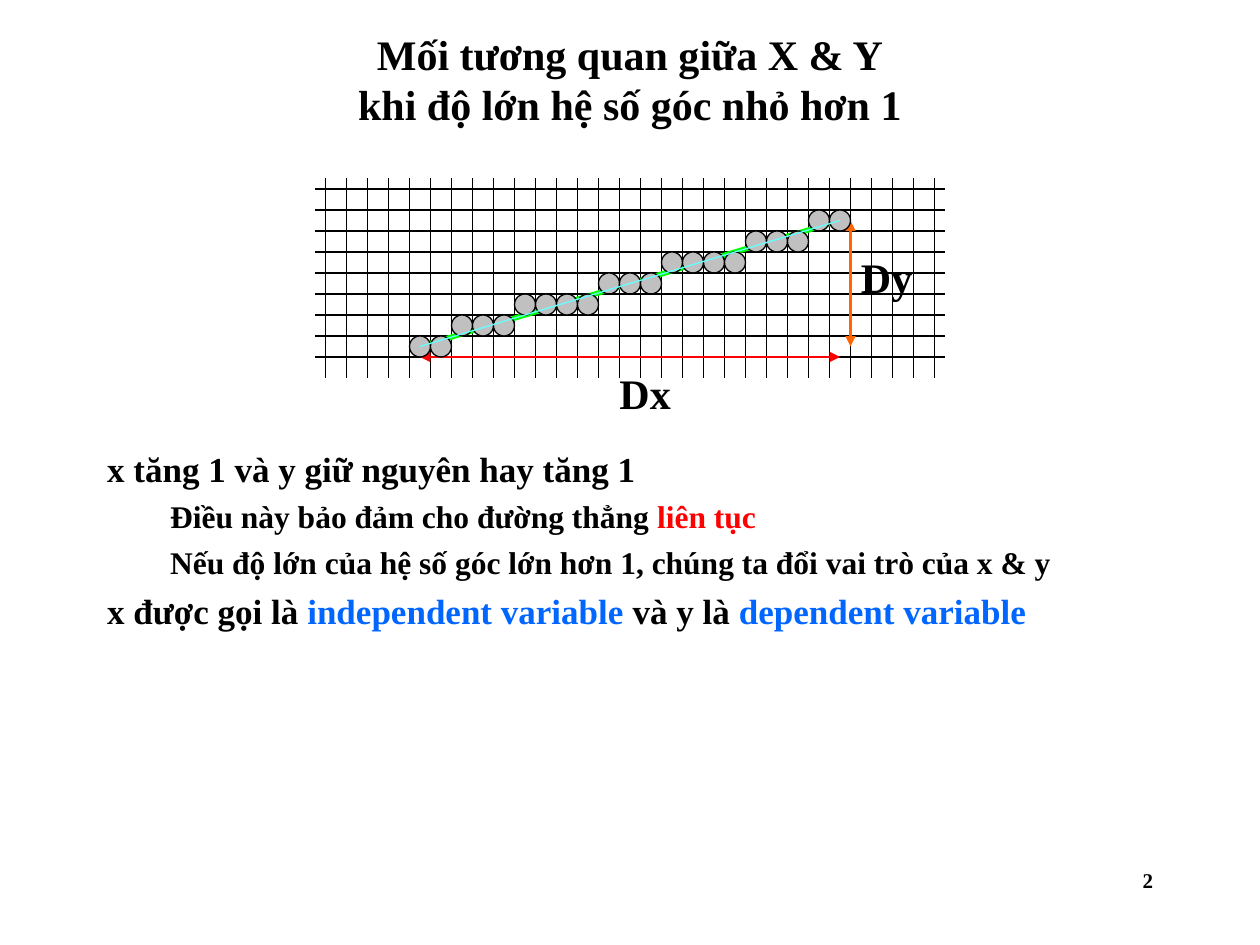
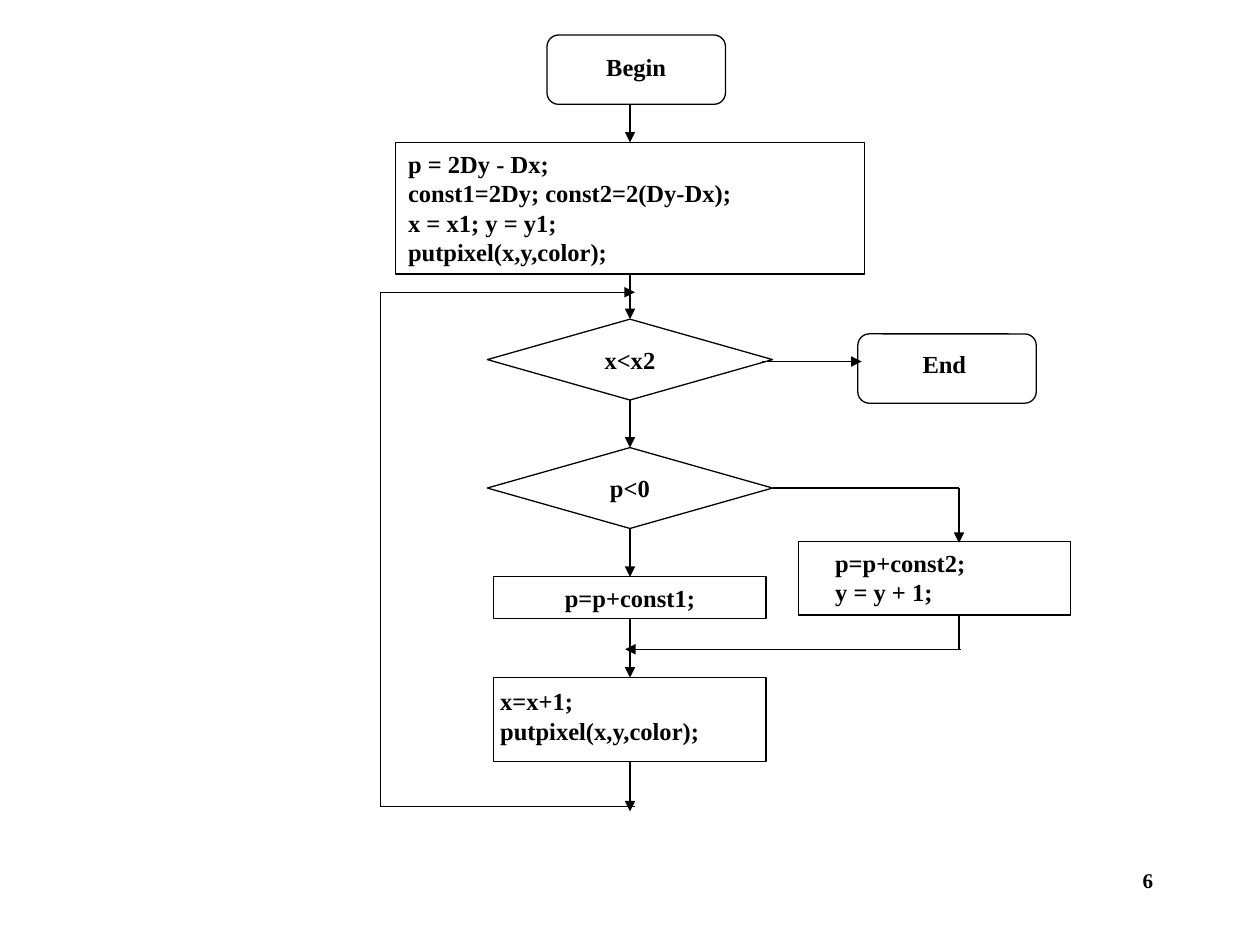
from lxml import etree
from pptx import Presentation
from pptx import util as u
from pptx.dml.color import RGBColor
from pptx.enum import shapes, text
from pptx.oxml import ns

Pt = u.Pt
FONT = "Times New Roman"
COLORS = {
    "ink": "000000", "paper": "FFFFFF", "pixel": "C0C0C0", "red": "FF0000",
    "orange": "FF6600", "green": "00FF00", "cyan": "66FFFF", "blue": "0066FF",
}
LEFT, CENTER, RIGHT = text.PP_ALIGN.LEFT, text.PP_ALIGN.CENTER, text.PP_ALIGN.RIGHT
TOP, MIDDLE = text.MSO_ANCHOR.TOP, text.MSO_ANCHOR.MIDDLE
KIND = shapes.MSO_SHAPE


def write(tf, paras, size=14, align=LEFT, anchor=TOP, insets=(7.2, 3.6, 7.2, 3.6),
          wrap=True, levels=None):
    """Fill a frame; a paragraph is a string or a list of (text, colour) runs.

    levels gives, for each paragraph, (level, left margin, indent, space before, size).
    """
    tf.auto_size = text.MSO_AUTO_SIZE.NONE
    tf.word_wrap = wrap
    tf.vertical_anchor = anchor
    tf.margin_left, tf.margin_top, tf.margin_right, tf.margin_bottom = map(Pt, insets)
    for i, para in enumerate(paras):
        p = tf.add_paragraph() if i else tf.paragraphs[0]
        p.alignment = align
        p.space_before = Pt(0)
        if levels:
            p.level, margin, indent, before, size = levels[i]
            pPr = p._p.get_or_add_pPr()
            pPr.set("marL", str(Pt(margin)))
            pPr.set("indent", str(Pt(indent)))
            etree.SubElement(pPr, ns.qn("a:buNone"))
            p.space_before = Pt(before)
        for words, color in [(para, "ink")] if isinstance(para, str) else para:
            r = p.add_run()
            r.text = words
            r.font.name, r.font.size, r.font.bold = FONT, Pt(size), True
            r.font.color.rgb = RGBColor.from_string(COLORS[color])


def line(s, x1, y1, x2, y2, color="ink", width=0.75, ends=()):
    """Draw a line; ends holds "head" and/or "tail" for arrowheads at start and finish."""
    c = s.shapes.add_connector(shapes.MSO_CONNECTOR.STRAIGHT, Pt(x1), Pt(y1), Pt(x2), Pt(y2))
    c.line.color.rgb = RGBColor.from_string(COLORS[color])
    c.line.width = Pt(width)
    for end in ends:
        etree.SubElement(c.line._get_or_add_ln(), ns.qn(f"a:{end}End"), type="triangle")
    etree.SubElement(c._element.spPr, ns.qn("a:effectLst"))
    return c


prs = Presentation()
prs.slide_width, prs.slide_height = Pt(720), Pt(540)

# Slide with the pixel grid
s = prs.slides.add_slide(prs.slide_layouts[1])
title, body = s.placeholders
title.left, title.top, title.width, title.height = Pt(54), Pt(24), Pt(612), Pt(42)
write(title.text_frame, ["Mối tương quan giữa X & Y", "khi độ lớn hệ số góc nhỏ hơn 1"],
      size=24, align=CENTER, anchor=MIDDLE)

body.left, body.top, body.width, body.height = Pt(54), Pt(252), Pt(612), Pt(228)
sub = (1, 58.5, -22.5, 4.5, 18)
write(body.text_frame, [
    "x tăng 1 và y giữ nguyên hay tăng 1",
    [("Điều này bảo đảm cho đường thẳng ", "ink"), ("liên tục", "red")],
    "Nếu độ lớn của hệ số góc lớn hơn 1, chúng ta đổi vai trò của x & y",
    [("x được gọi là ", "ink"), ("independent variable", "blue"),
     (" và y là ", "ink"), ("dependent variable", "blue")],
], levels=[(0, 27, -27, 0, 20), sub, sub, (0, 27, -27, 5, 20)])

CELL = 12
for col in range(30):
    x = 186 + CELL * col
    line(s, x, 102, x, 216)
for row in range(9):
    y = 108 + CELL * row
    line(s, 180, y, 540, y)
line(s, 240, 204, 480, 204, "red", 1.5, ("head", "tail"))
line(s, 486, 126, 486, 198, "orange", 1.5, ("head", "tail"))
line(s, 240, 198, 480, 126, "green", 3)

x = 234
for step, run_length in enumerate((2, 3, 4, 3, 4, 3, 2)):
    for _ in range(run_length):
        sp = s.shapes.add_shape(KIND.OVAL, Pt(x), Pt(192 - CELL * step), Pt(CELL), Pt(CELL))
        sp.shadow.inherit = False
        sp.fill.solid()
        sp.fill.fore_color.rgb = RGBColor.from_string(COLORS["pixel"])
        sp.line.color.rgb = RGBColor.from_string(COLORS["ink"])
        sp.line.width = Pt(0.75)
        x += CELL
line(s, 240, 198, 480, 126, "cyan")

for label, x, y in (("Dx", 354, 210), ("Dy", 492, 144)):
    tb = s.shapes.add_textbox(Pt(x), Pt(y), Pt(36), Pt(28.8))
    write(tb.text_frame, [label], size=24, insets=(0, 0, 0, 0), wrap=False)

# Slide with the flowchart
s = prs.slides.add_slide(prs.slide_layouts[6])
AXIS = 360
none = (0, 0, 0, 0)
steps = [  # name, kind, centre x, top, width, height, lines, align, anchor, insets
    ("begin", KIND.ROUNDED_RECTANGLE, 363.6, 20, 102, 39.6, ["Begin"], CENTER, TOP, (0, 7.5, 0, 0)),
    ("init", KIND.RECTANGLE, AXIS, 81.4, 267.8, 75.2,
     ["p = 2Dy - Dx;", "const1=2Dy; const2=2(Dy-Dx);", "x = x1; y = y1;", "putpixel(x,y,color);"],
     LEFT, TOP, (7.2, 3.6, 7.2, 3.6)),
    ("more", KIND.DIAMOND, AXIS, 182.4, 163, 46.2, ["x<x2"], CENTER, MIDDLE, none),
    ("sign", KIND.DIAMOND, AXIS, 255.8, 163, 46.2, ["p<0"], CENTER, MIDDLE, none),
    ("const1", KIND.RECTANGLE, AXIS, 329.6, 155.6, 24, ["p=p+const1;"], CENTER, MIDDLE, none),
    ("const2", KIND.RECTANGLE, 534, 309.6, 155.6, 41.8, ["p=p+const2;", "y = y + 1;"],
     LEFT, TOP, (21, 3.6, 0, 0)),
    ("next", KIND.RECTANGLE, AXIS, 387.2, 155.6, 48, ["x=x+1;", "putpixel(x,y,color);"],
     LEFT, TOP, (3.6, 5, 0, 0)),
    ("end", KIND.ROUNDED_RECTANGLE, 541.2, 190.8, 102, 39.6, ["End"], CENTER, TOP, (0, 6.5, 3, 0)),
]
nodes = {}
for name, kind, center, top, width, height, lines, align, anchor, insets in steps:
    sp = s.shapes.add_shape(kind, Pt(center - width / 2), Pt(top), Pt(width), Pt(height))
    sp.shadow.inherit = False
    sp.fill.solid()
    sp.fill.fore_color.rgb = RGBColor.from_string(COLORS["paper"])
    sp.line.color.rgb = RGBColor.from_string(COLORS["ink"])
    sp.line.width = Pt(0.75)
    write(sp.text_frame, lines, align=align, anchor=anchor, insets=insets, wrap=False)
    nodes[name] = sp

arrow = ("tail",)
for upper, lower in (("init", "more"), ("more", "sign"), ("sign", "const1"), ("const1", "next")):
    c = line(s, AXIS, 0, AXIS, 10, ends=arrow)
    c.begin_connect(nodes[upper], 2)
    c.end_connect(nodes[lower], 0)
line(s, AXIS, 59.6, AXIS, 81.4, ends=arrow).end_connect(nodes["init"], 0)
line(s, AXIS, 435.2, AXIS, 463.6, ends=arrow).begin_connect(nodes["next"], 2)
line(s, 441.5, 278.9, 548, 278.9).begin_connect(nodes["sign"], 3)

for x1, y1, x2, y2, ends in (
    (435.6, 206.6, 492.4, 206.6, arrow),  # loop finished
    (548, 278.9, 548, 310.2, arrow),      # branch down to const2
    (548, 351.4, 548, 371, ()),
    (549.4, 371, 357.2, 371, arrow),      # branch rejoins the axis
    (362.8, 460.8, 217.4, 460.8, ()),     # back to the loop test
    (217.4, 460.8, 217.4, 167, ()),
    (217.4, 167, 362.8, 167, arrow),
):
    line(s, x1, y1, x2, y2, ends=ends)

# Page numbers
for s, number in zip(prs.slides, ("2", "6")):
    tb = s.shapes.add_textbox(Pt(516), Pt(492), Pt(150), Pt(36))
    write(tb.text_frame, [number], size=12, align=RIGHT)

prs.save("out.pptx")
